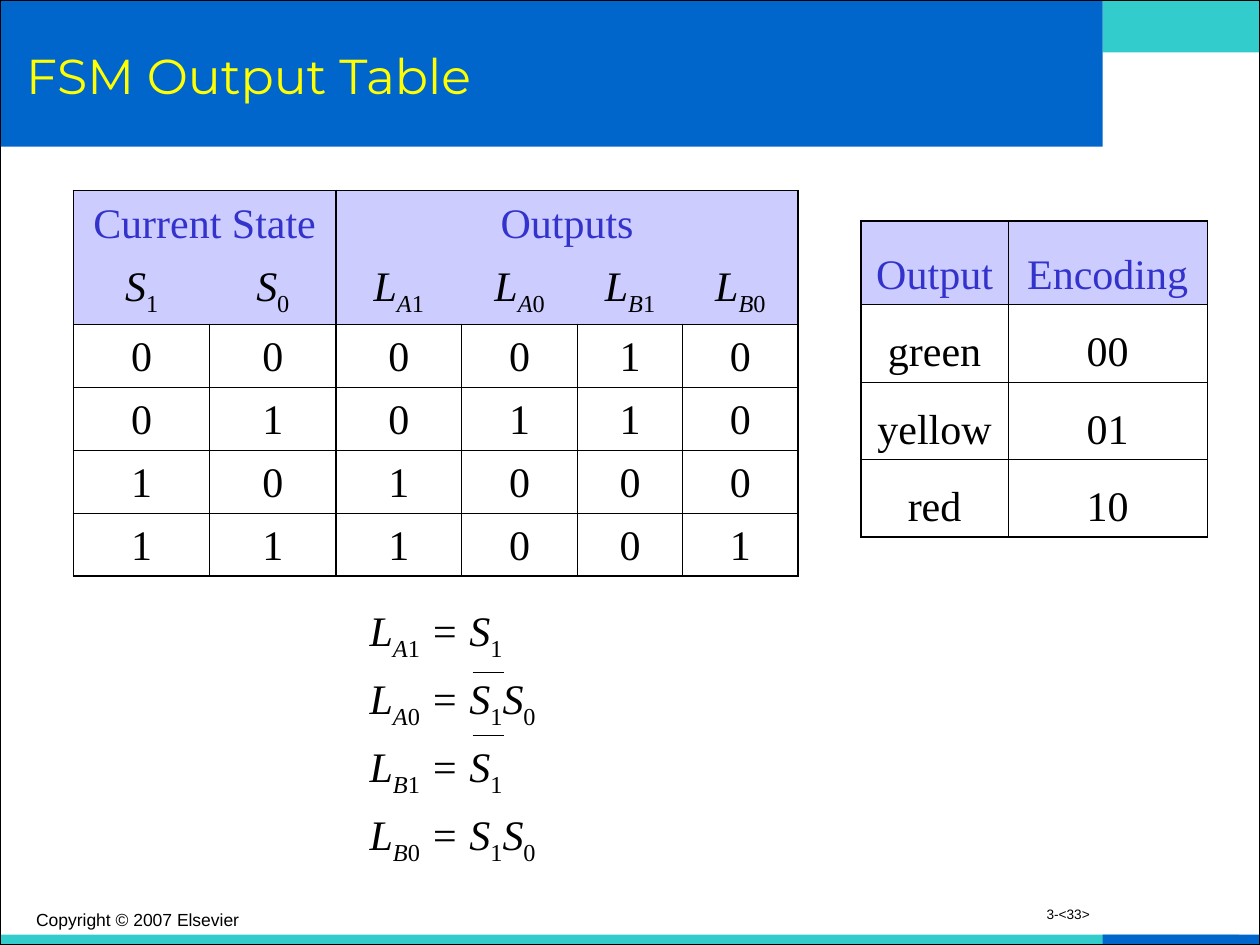
from dataclasses import dataclass
from itertools import groupby
from typing import Optional

from lxml import etree
from pptx import Presentation
from pptx import util as u
from pptx.dml.color import RGBColor
from pptx.enum import shapes, text
from pptx.oxml import ns

BLUE, TEAL, BLACK, YELLOW = "0066CC", "33CCCC", "000000", "FFFF00"
HEADER_FILL, HEADER_TEXT = "CCCCFF", "3333CC"
SERIF, SANS, DISPLAY = "Times New Roman", "Arial", "Montserrat"
THIN, OUTER, DIVIDER = 0.45, 1.08, 1.47
LEFT, CENTER, RIGHT = text.PP_ALIGN.LEFT, text.PP_ALIGN.CENTER, text.PP_ALIGN.RIGHT


@dataclass
class Box:
    left: float
    top: float
    width: float
    height: float

    def lengths(self) -> list:
        return [u.Cm(v) for v in (self.left, self.top, self.width, self.height)]


@dataclass
class Bar:
    box: Box
    fill: str


@dataclass
class Label:
    box: Box
    words: str
    size: float
    font: str
    color: str = BLACK
    align: text.PP_ALIGN = LEFT
    anchor: text.MSO_ANCHOR = text.MSO_ANCHOR.TOP
    line_spacing: Optional[float] = None


@dataclass
class Grid:
    left: float
    top: float
    columns: list[float]
    heights: list[float]
    rows: list[list[str]]
    header_rows: int = 1
    groups: tuple = ()            # merged (start, span) pairs in the first row
    divider: int = -1             # column edge drawn with a heavy line
    open_header: bool = False     # no inner lines inside the header


def rgb(value: str) -> RGBColor:
    return RGBColor.from_string(value)


def style_font(paragraph, size: float, font: str, color: str) -> None:
    paragraph.font.size = u.Pt(size)
    paragraph.font.name = font
    paragraph.font.color.rgb = rgb(color)


def write_symbols(paragraph, formula: str) -> None:
    """Write a formula such as L{A1}: braces hold subscripts, digits are upright."""
    pieces, lowered = [], False
    for character in formula:
        if character in "{}":
            lowered = character == "{"
        else:
            pieces.append((character, lowered, not character.isdigit()))
    for (lowered, italic), group in groupby(pieces, key=lambda piece: piece[1:]):
        run = paragraph.add_run()
        run.text = "".join(piece[0] for piece in group)
        run.font.italic = italic
        if lowered:
            run.font._element.set("baseline", "-25000")


def write_text(paragraph, words: str) -> None:
    if "{" in words:
        write_symbols(paragraph, words)
    else:
        paragraph.text = words


def add_bar(slide, bar: Bar) -> None:
    shape = slide.shapes.add_shape(shapes.MSO_SHAPE.RECTANGLE, *bar.box.lengths())
    shape.shadow.inherit = False
    shape.fill.solid()
    shape.fill.fore_color.rgb = rgb(bar.fill)
    shape.line.fill.background()


def add_frame(slide, box: Box) -> None:
    shape = slide.shapes.add_shape(shapes.MSO_SHAPE.RECTANGLE, *box.lengths())
    shape.shadow.inherit = False
    shape.fill.background()
    shape.line.color.rgb = rgb(BLACK)
    shape.line.width = u.Pt(0.75)


def add_label(slide, label: Label) -> None:
    frame = slide.shapes.add_textbox(*label.box.lengths()).text_frame
    frame.word_wrap = True
    frame.vertical_anchor = label.anchor
    for index, words in enumerate(label.words.split("\n")):
        paragraph = frame.add_paragraph() if index else frame.paragraphs[0]
        write_text(paragraph, words)
        paragraph.alignment = label.align
        if index:
            paragraph.space_before = u.Pt(6)
        if label.line_spacing:
            paragraph.line_spacing = label.line_spacing
        style_font(paragraph, label.size, label.font, label.color)


def set_borders(cell, widths: dict[str, float]) -> None:
    properties = cell._tc.get_or_add_tcPr()
    for index, (side, width) in enumerate(widths.items()):
        line = etree.Element(ns.qn(f"a:ln{side}"), w=str(u.Pt(width)))
        if width:
            fill = etree.SubElement(line, ns.qn("a:solidFill"))
            etree.SubElement(fill, ns.qn("a:srgbClr"), val=BLACK)
        else:
            etree.SubElement(line, ns.qn("a:noFill"))
        properties.insert(index, line)


def border_widths(grid: Grid, row: int, column: int) -> dict[str, float]:
    inner = 0 if grid.open_header and row < grid.header_rows else THIN

    def vertical(edge: int) -> float:
        if edge in (0, len(grid.columns)):
            return OUTER
        return DIVIDER if edge == grid.divider else inner

    def horizontal(edge: int) -> float:
        if edge in (0, len(grid.heights)):
            return OUTER
        return THIN if edge == grid.header_rows else inner

    span = dict(grid.groups).get(column, 1) if row == 0 else 1
    return {"L": vertical(column), "R": vertical(column + span),
            "T": horizontal(row), "B": horizontal(row + 1)}


def add_grid(slide, grid: Grid) -> None:
    box = Box(grid.left, grid.top, sum(grid.columns), sum(grid.heights))
    table = slide.shapes.add_table(len(grid.heights), len(grid.columns), *box.lengths()).table
    table.first_row = table.horz_banding = False
    for column, width in zip(table.columns, grid.columns):
        column.width = u.Cm(width)
    for row, height in zip(table.rows, grid.heights):
        row.height = u.Cm(height)
    for start, span in grid.groups:
        table.cell(0, start).merge(table.cell(0, start + span - 1))
    for row, values in enumerate(grid.rows):
        for column, words in enumerate(values):
            cell = table.cell(row, column)
            cell.vertical_anchor = text.MSO_ANCHOR.BOTTOM
            if row < grid.header_rows:
                cell.fill.solid()
                cell.fill.fore_color.rgb = rgb(HEADER_FILL)
            else:
                cell.fill.background()
            set_borders(cell, border_widths(grid, row, column))
            paragraph = cell.text_frame.paragraphs[0]
            if words:
                write_text(paragraph, words)
            paragraph.alignment = CENTER
            style_font(paragraph, 24, SERIF, HEADER_TEXT if row == 0 else BLACK)


def add_overline(slide, left: float, right: float, top: float) -> None:
    line = slide.shapes.add_connector(shapes.MSO_CONNECTOR.STRAIGHT,
                                      u.Cm(left), u.Cm(top), u.Cm(right), u.Cm(top))
    line.line.color.rgb = rgb(BLACK)
    line.line.width = u.Pt(0.75)
    etree.SubElement(line._element.spPr, ns.qn("a:effectLst"))


BARS = [
    Bar(Box(22.23, 0, 3.17, 1.06), TEAL),
    Bar(Box(0, 18.84, 24.98, 0.21), TEAL),
    Bar(Box(22.23, 18.84, 3.17, 0.21), BLUE),
    Bar(Box(0, 0, 22.23, 2.96), BLUE),
]
STATE_TABLE = Grid(
    1.48, 3.84, [2.75, 2.54, 2.54, 2.33, 2.12, 2.33], [1.27, 1.42] + [1.27] * 4,
    [["Current State", "", "Outputs", "", "", ""],
     ["S{1}", "S{0}", "L{A1}", "L{A0}", "L{B1}", "L{B0}"],
     *map(list, ("000010", "010110", "101000", "111001"))],
    header_rows=2, groups=((0, 2), (2, 4)), divider=2, open_header=True)
ENCODING_TABLE = Grid(
    17.36, 4.45, [2.96, 4.02], [1.69] + [1.56] * 3,
    [["Output", "Encoding"], ["green", "00"], ["yellow", "01"], ["red", "10"]])
LABELS = [
    Label(Box(0.28, 0.28, 21.59, 2.46), "FSM Output Table", 28, DISPLAY, YELLOW,
          anchor=text.MSO_ANCHOR.MIDDLE),
    Label(Box(0.48, 18.2, 8.05, 0.64), "Copyright © 2007 Elsevier", 10, SANS),
    Label(Box(16.93, 18.2, 5.29, 0.64), "3-<33>", 7.8, SANS, align=RIGHT, line_spacing=0.8),
    Label(Box(7.2, 12.07, 6.77, 5.72),
          "L{A1} = S{1}\nL{A0} = S{1}S{0}\nL{B1} = S{1}\nL{B0} = S{1}S{0}", 24, SERIF),
]


def main() -> None:
    presentation = Presentation()
    presentation.slide_width, presentation.slide_height = u.Cm(25.4), u.Cm(19.05)
    slide = presentation.slides.add_slide(presentation.slide_layouts[6])
    # Page decoration
    for bar in BARS:
        add_bar(slide, bar)
    add_frame(slide, Box(0, 0, 25.4, 19.05))
    # Tables
    for grid in (STATE_TABLE, ENCODING_TABLE):
        add_grid(slide, grid)
    # Title, footer and equations
    for label in LABELS:
        add_label(slide, label)
    # Negation bars over S1
    for top in (13.55, 14.82):
        add_overline(slide, 9.53, 10.16, top)
    presentation.save("out.pptx")


if __name__ == "__main__":
    main()
